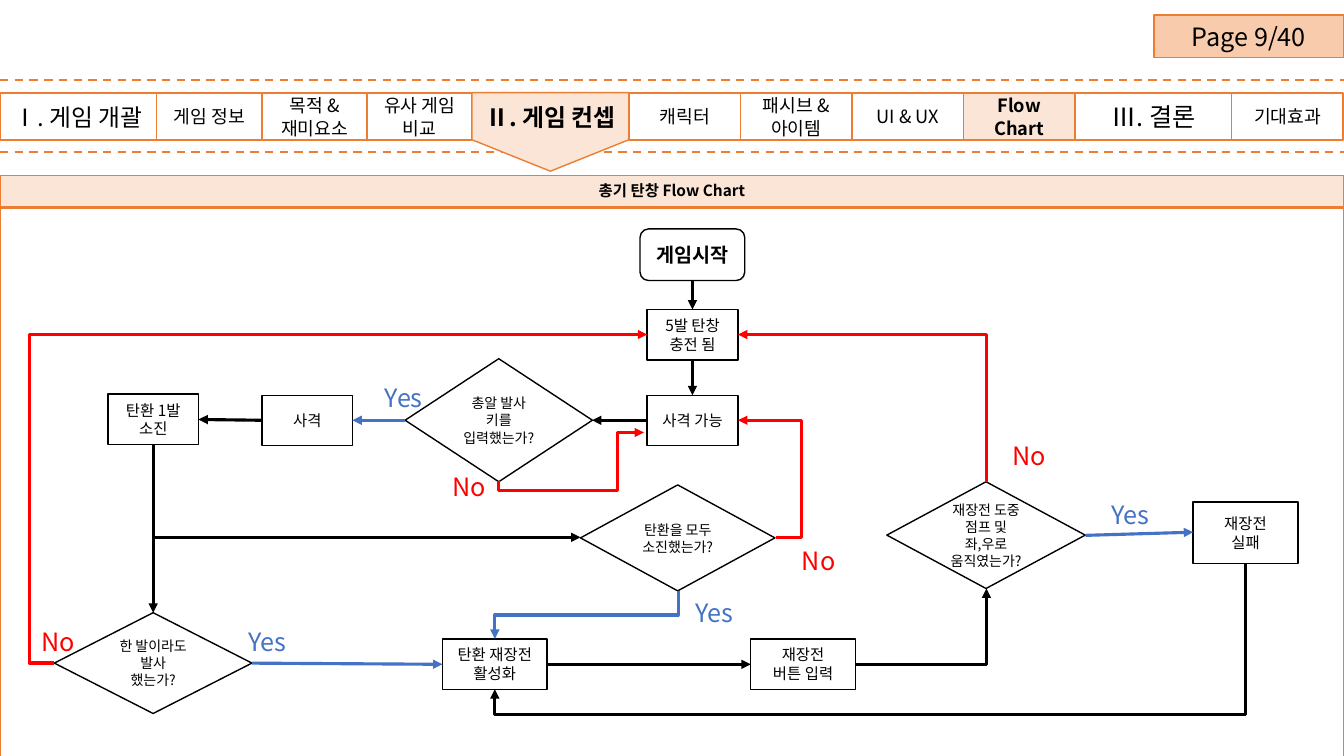
from dataclasses import dataclass
from itertools import accumulate

from lxml import etree
from pptx import Presentation, util as u
from pptx.dml import color as dml
from pptx.enum import dml as lines, shapes, text
from pptx.oxml import ns

FONT = "Noto Sans CJK KR"
BLACK, WHITE, RED, BLUE = "000000", "FFFFFF", "FF0000", "4472C4"
ORANGE, PEACH, SALMON = "ED7D31", "FBE5D6", "F8CBAD"
RECT = shapes.MSO_SHAPE.RECTANGLE
DECISION = shapes.MSO_SHAPE.FLOWCHART_DECISION
WIDTH, HEIGHT = 33.87, 19.05


@dataclass
class Box:
    """A shape with text; lengths in centimetres."""
    words: str
    left: float
    top: float
    width: float
    height: float
    size: float = 11
    kind: int = RECT
    bold: bool = False
    fill: str = WHITE
    line: str = BLACK
    inset: float = 0.25


@dataclass
class Tab:
    words: str
    width: float
    size: float = 13
    active: bool = False


@dataclass
class Answer:
    words: str
    left: float
    top: float


@dataclass
class Route:
    """An arrow through right-angled corner points."""
    points: list[tuple[float, float]]
    color: str = BLACK


def rgb(value: str) -> dml.RGBColor:
    return dml.RGBColor.from_string(value)


def write(frame, words: str, size: float, color: str = BLACK, bold: bool = False,
          align=text.PP_ALIGN.CENTER, inset: float = 0.25) -> None:
    frame.word_wrap = True
    frame.vertical_anchor = text.MSO_ANCHOR.MIDDLE
    frame.margin_left = frame.margin_right = u.Cm(inset)
    frame.margin_top = frame.margin_bottom = u.Cm(0)
    for index, line in enumerate(words.split("\n")):
        paragraph = frame.paragraphs[0] if index == 0 else frame.add_paragraph()
        paragraph.alignment = align
        paragraph.line_spacing = u.Pt(size * 1.22)
        run = paragraph.add_run()
        run.text = line
        run.font.size, run.font.bold, run.font.name = u.Pt(size), bold, FONT
        run.font.color.rgb = rgb(color)
        etree.SubElement(run.font._element, ns.qn("a:ea"), typeface=FONT)


def add_box(slide, box: Box):
    shape = slide.shapes.add_shape(box.kind, *map(u.Cm, (box.left, box.top, box.width, box.height)))
    shape.shadow.inherit = False
    shape.fill.solid()
    shape.fill.fore_color.rgb = rgb(box.fill)
    shape.line.color.rgb = rgb(box.line)
    shape.line.width = u.Pt(1)
    if box.words:
        write(shape.text_frame, box.words, box.size, bold=box.bold, inset=box.inset)
    return shape


def add_label(slide, words: str, left: float, top: float, width: float, size: float,
              **style) -> None:
    label = slide.shapes.add_textbox(*map(u.Cm, (left, top, width, 1.02)))
    write(label.text_frame, words, size, **style)


def add_line(slide, start, end, color: str, width: float):
    line = slide.shapes.add_connector(shapes.MSO_CONNECTOR.STRAIGHT, *map(u.Cm, (*start, *end)))
    line.line.color.rgb = rgb(color)
    line.line.width = u.Pt(width)
    etree.SubElement(line._element.spPr, ns.qn("a:effectLst"))
    return line


def add_route(slide, route: Route) -> None:
    start, end = route.points[0], route.points[-1]
    arrow = add_line(slide, start, end, route.color, 2.25)
    etree.SubElement(arrow.line._get_or_add_ln(), ns.qn("a:tailEnd"), type="triangle")
    corners = route.points[1:-1]
    if not corners:
        return
    # An elbow leaves along its own x axis, so a vertical start is turned by 90 degrees
    vertical = corners[0][0] == start[0]
    axis = 1 if vertical else 0
    span = [end[0] - start[0], end[1] - start[1]]
    length, depth = abs(span[axis]), abs(span[1 - axis])
    arrow.left = u.Cm((start[0] + end[0] - length) / 2)
    arrow.top = u.Cm((start[1] + end[1] - depth) / 2)
    arrow.width, arrow.height = u.Cm(length), u.Cm(depth)
    frame = arrow._element.spPr.find(ns.qn("a:xfrm"))
    frame.set("rot", "5400000" if vertical else "0")
    frame.set("flipH", str(int(span[axis] < 0)))
    frame.set("flipV", str(int((span[1 - axis] < 0) != vertical)))
    geometry = arrow._element.spPr.find(ns.qn("a:prstGeom"))
    geometry.set("prst", f"bentConnector{len(corners) + 1}")
    guides = geometry.get_or_add_avLst()
    for index, corner in enumerate(corners[:-1]):
        side = axis if index % 2 == 0 else 1 - axis
        ratio = round((corner if index == 0 else corners[index])[side] - start[side], 2) / span[side]
        etree.SubElement(guides, ns.qn("a:gd"), name=f"adj{index + 1}",
                         fmla=f"val {round(ratio * 100000)}")


def add_panel(slide) -> None:
    table = slide.shapes.add_table(2, 1, *map(u.Cm, (0, 4.42, WIDTH, 14.81))).table
    for row, height in zip(table.rows, (0.81, 14)):
        row.height = u.Cm(height)
    for index, (fill, bottom) in enumerate(((PEACH, 2), (WHITE, 1))):
        cell = table.cell(index, 0)
        for side in ("lnL", "lnR", "lnT", "lnB"):
            weight = 2 if index == 1 and side == "lnT" else bottom if side == "lnB" else 1
            border = etree.SubElement(cell._tc.get_or_add_tcPr(), ns.qn(f"a:{side}"),
                                      w=str(u.Pt(weight)))
            paint = etree.SubElement(border, ns.qn("a:solidFill"))
            etree.SubElement(paint, ns.qn("a:srgbClr"), val=ORANGE)
        cell.fill.solid()
        cell.fill.fore_color.rgb = rgb(fill)
    title = table.cell(0, 0)
    write(title.text_frame, "총기 탄창 Flow Chart", 11, bold=True)
    title.vertical_anchor = text.MSO_ANCHOR.MIDDLE


TABS = [
    Tab("Ⅰ. 게임 개괄", 3.95, 17), Tab("게임 정보", 2.65), Tab("목적 &\n재미요소", 2.65),
    Tab("유사 게임\n비교", 2.65), Tab("Ⅱ. 게임 컨셉", 3.95, 17, True), Tab("캐릭터", 2.81),
    Tab("패시브 &\n아이템", 2.81), Tab("UI & UX", 2.81), Tab("Flow\nChart", 2.81, active=True),
    Tab("Ⅲ. 결론", 3.95, 18), Tab("기대효과", 2.81),
]
STEPS = [
    Box("게임시작", 16.13, 5.77, 2.64, 1.3, 14, shapes.MSO_SHAPE.ROUNDED_RECTANGLE, True),
    Box("5발 탄창\n충전 됨", 16.31, 7.8, 2.29, 1.27),
    Box("사격 가능", 16.31, 9.96, 2.29, 1.27),
    Box("사격", 6.6, 9.96, 2.29, 1.27),
    Box("탄환 1발\n소진", 2.72, 9.93, 2.29, 1.27),
    Box("탄환 재장전\n활성화", 11.15, 16.1, 2.64, 1.27),
    Box("재장전\n버튼 입력", 18.92, 16.1, 2.64, 1.27),
    Box("재장전\n실패", 30.07, 12.65, 2.64, 1.55),
    Box("총알 발사 키를 입력했는가?", 10.21, 9.04, 4.72, 3.1, 10, DECISION),
    Box("탄환을 모두 소진했는가?", 14.63, 12.22, 4.9, 2.67, 10, DECISION),
    Box("재장전 도중\n점프 및\n좌,우로 움직였는가?", 22.35, 12.14, 5, 2.69, 10, DECISION),
    Box("한 발이라도\n발사\n했는가?", 1.37, 15.44, 4.98, 2.54, 10, DECISION),
]
ROUTES = [
    Route([(17.45, 7.07), (17.45, 7.8)]),
    Route([(17.45, 9.07), (17.45, 9.96)]),
    Route([(16.31, 10.59), (14.92, 10.59)]),
    Route([(12.57, 12.13), (12.57, 12.37), (15.57, 12.37), (15.57, 10.9), (16.23, 10.9)], RED),
    Route([(10.21, 10.59), (8.88, 10.59)], BLUE),
    Route([(6.6, 10.59), (5, 10.57)]),
    Route([(3.86, 11.2), (3.86, 15.44)]),
    Route([(3.86, 11.2), (3.86, 13.54), (14.63, 13.54)]),
    Route([(1.37, 16.71), (0.74, 16.71), (0.74, 8.43), (16.31, 8.43)], RED),
    Route([(6.35, 16.71), (11.15, 16.74)], BLUE),
    Route([(13.79, 16.74), (18.92, 16.74)]),
    Route([(17.09, 14.89), (17.09, 15.5), (12.47, 15.5), (12.47, 16.1)], BLUE),
    Route([(19.55, 13.54), (20.19, 13.54), (20.19, 10.59), (18.6, 10.59)], RED),
    Route([(24.86, 12.14), (24.86, 8.43), (18.6, 8.43)], RED),
    Route([(27.36, 13.49), (30.07, 13.41)], BLUE),
    Route([(31.39, 14.2), (31.39, 18.01), (12.47, 18.01), (12.47, 17.37)]),
    Route([(21.56, 16.74), (24.86, 16.74), (24.86, 14.83)]),
]
ANSWERS = [
    Answer("Yes", 9.45, 9.5), Answer("No", 11.15, 11.73), Answer("No", 19.96, 13.61),
    Answer("Yes", 17.27, 14.91), Answer("No", 0.79, 15.65), Answer("Yes", 6.02, 15.65),
    Answer("No", 25.27, 10.95), Answer("Yes", 27.76, 12.45),
]


def main() -> None:
    presentation = Presentation()
    presentation.slide_width, presentation.slide_height = u.Cm(WIDTH), u.Cm(HEIGHT)
    slide = presentation.slides.add_slide(presentation.slide_layouts[6])

    # Panel, page number and dashed rules
    add_panel(slide)
    add_box(slide, Box("Page 9/40", 29.08, 0.38, 4.79, 1.07, 18, fill=SALMON, line=ORANGE))
    for top in (2.01, 3.84):
        rule = add_line(slide, (0, top), (WIDTH, top), ORANGE, 1.5)
        rule.line.dash_style = lines.MSO_LINE.DASH

    # Navigation tabs; the current chapter is an arrow pointing down
    lefts = accumulate((tab.width for tab in TABS), initial=0)
    for tab, left in zip(TABS, lefts):
        if tab.active and tab.size > 13:
            pointer = add_box(slide, Box("", left + 0.98, 1.35, 1.98, tab.width,
                                         kind=shapes.MSO_SHAPE.PENTAGON, fill=PEACH, line=ORANGE))
            pointer.rotation = 90
            pointer.adjustments[0] = 0.4
            add_label(slide, tab.words, left, 2.43, tab.width, tab.size, bold=True, inset=0)
        else:
            add_box(slide, Box(tab.words, left, 2.34, tab.width, 1.19, tab.size, bold=tab.active,
                               fill=PEACH if tab.active else WHITE, line=ORANGE, inset=0))

    # Flow chart
    for step in STEPS:
        add_box(slide, step)
    for route in ROUTES:
        add_route(slide, route)
    for answer in ANSWERS:
        add_label(slide, answer.words, answer.left, answer.top, 1.78, 18,
                  color=RED if answer.words == "No" else BLUE, align=text.PP_ALIGN.LEFT)
    presentation.save("out.pptx")


if __name__ == "__main__":
    main()
